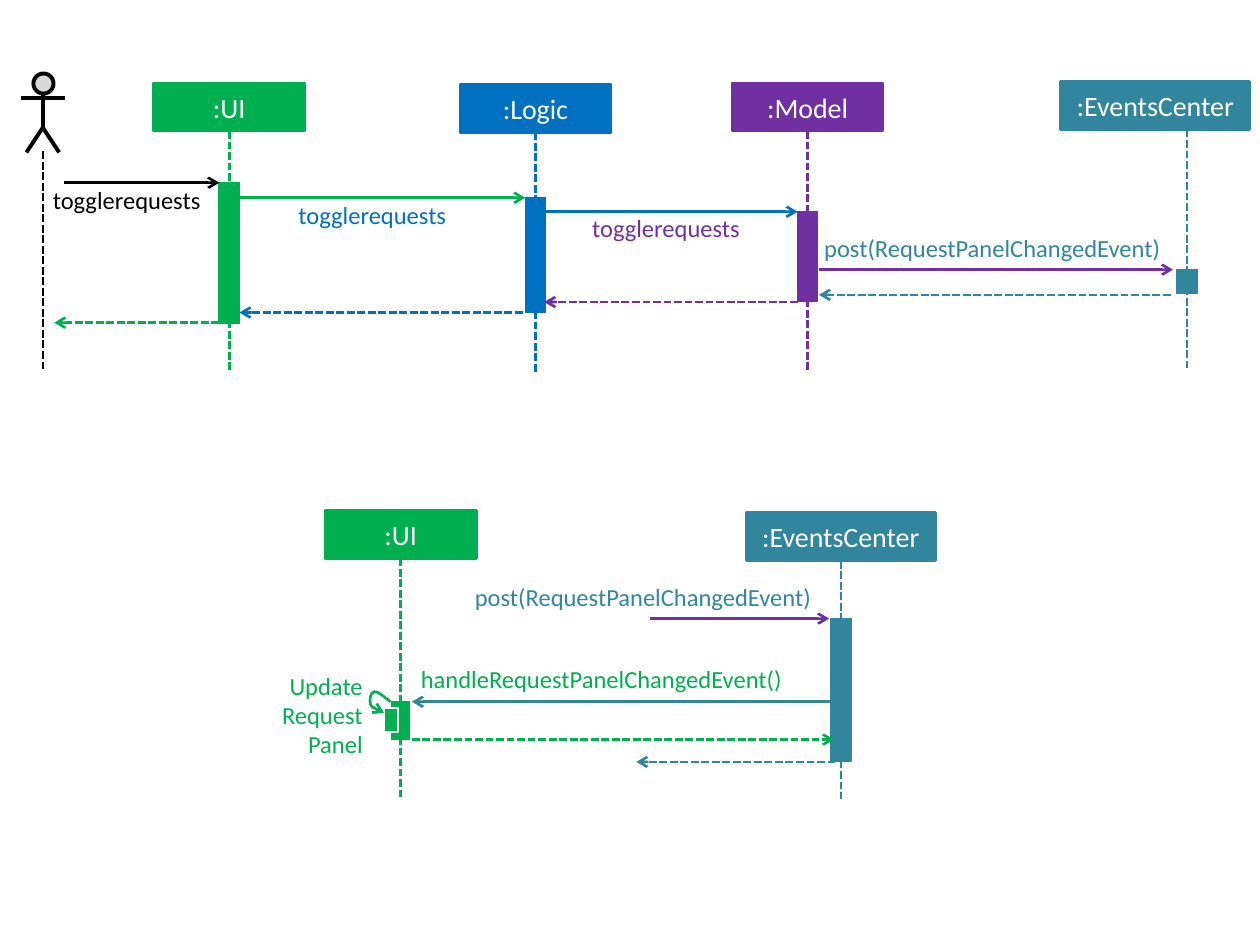
from dataclasses import dataclass
from itertools import starmap
from typing import Any

from lxml.etree import SubElement
from pptx import Presentation
from pptx.dml.color import RGBColor
from pptx.enum.dml import MSO_LINE
from pptx.enum.shapes import MSO_CONNECTOR, MSO_SHAPE
from pptx.enum.text import MSO_ANCHOR, MSO_AUTO_SIZE, PP_ALIGN
from pptx.oxml.ns import qn
from pptx.util import Pt

GREEN, BLUE, PURPLE, TEAL = "00B050", "0070C0", "7030A0", "31859C"
BLACK, WHITE, GREY = "000000", "FFFFFF", "D9D9D9"
HEADER_HEIGHT = 27.4
BOTTOM_SIDE = 2


@dataclass
class Participant:
    name: str
    color: str
    header_center: float
    header_top: float
    header_width: float
    lifeline_x: float
    lifeline_bottom: float
    bar_top: float
    bar_height: float
    bar_width: float = 11.7


@dataclass
class Message:
    start_x: float
    end_x: float
    y: float
    color: str
    dashed: bool = False


@dataclass
class Label:
    text: str
    left: float
    top: float
    width: float
    color: str
    height: float = 17
    alignment: PP_ALIGN = PP_ALIGN.LEFT


PARTICIPANTS = [
    Participant(":UI", GREEN, 131, 47.5, 86.4, 131, 212.4, 104.4, 80.6),
    Participant(":Logic", BLUE, 306, 48.2, 86.4, 306, 212.4, 113, 65.5),
    Participant(":Model", PURPLE, 461.5, 47.5, 86.4, 461.5, 212.4, 121, 51.1),
    Participant(":EventsCenter", TEAL, 660.2, 46.6, 108, 678.2, 210.2, 154.1, 13.7),
    Participant(":EventsCenter", TEAL, 480.5, 293, 108, 480.5, 456.5, 353.5, 81.4),
    Participant(":UI", GREEN, 229, 291.6, 86.4, 229, 455.8, 401, 21.6, 10.4),
]
MESSAGES = [
    Message(36.7, 125.3, 104.4, BLACK),
    Message(136.8, 300.2, 113, GREEN),
    Message(311, 455.8, 121, BLUE),
    Message(468, 670.3, 154.1, PURPLE),
    Message(668.9, 468, 168.5, TEAL, True),
    Message(455.8, 311, 172.6, PURPLE, True),
    Message(298.8, 136.8, 178.6, BLUE, True),
    Message(125.3, 31, 184.4, GREEN, True),
    Message(371.5, 473.8, 353.5, PURPLE),
    Message(476.6, 235.4, 401, TEAL),
    Message(235.4, 476.6, 422.6, GREEN, True),
    Message(477.4, 363.6, 435.4, TEAL, True),
]
LABELS = [
    Label("togglerequests", 30.2, 106, 88.6, BLACK),
    Label("togglerequests", 170.6, 114.5, 112.3, BLUE),
    Label("togglerequests", 338.4, 122, 112.3, PURPLE),
    Label("post(RequestPanelChangedEvent)", 471, 133.2, 198.7, TEAL),
    Label("post(RequestPanelChangedEvent)", 271.4, 332.6, 213.8, TEAL),
    Label("handleRequestPanelChangedEvent()", 240.5, 379.4, 209.5, GREEN),
    Label("Update Request Panel", 144.7, 383.2, 62.6, GREEN, 51, PP_ALIGN.RIGHT),
]
LEGS = [(15.1, 87.1), (24.5, 72.9), (33.8, 87.1)]
SELF_CALL = [(219.6, 407.5), (216, 406.1), (213.1, 404.6), (211.7, 402.5),
             (211, 400.3), (211.7, 395.3), (213.8, 395.3), (215.3, 394.6),
             (219.6, 398.2), (223.2, 401)]


def rgb(color: str) -> RGBColor:
    return RGBColor.from_string(color)


def apply_format(target: Any, values: dict[str, Any]) -> None:
    for name, value in values.items():
        setattr(target, name, value)


def style_line(shape: Any, color: str, width: float, dashed: bool = False) -> None:
    shape.line.color.rgb = rgb(color)
    shape.line.width = Pt(width)
    if dashed:
        shape.line.dash_style = MSO_LINE.SQUARE_DOT


def add_arrowhead(shape: Any, end: str) -> None:
    line = shape.element.spPr.find(qn("a:ln"))
    SubElement(line, qn(f"a:{end}"), type="arrow")


def write_text(shape: Any, text: str, size: float, color: str,
               alignment: PP_ALIGN, frame_format: dict[str, Any]) -> None:
    apply_format(shape.text_frame, {"word_wrap": True, **frame_format})
    paragraph = shape.text_frame.paragraphs[0]
    paragraph.alignment = alignment
    run = paragraph.add_run()
    run.text = text
    apply_format(run.font, {"name": "Calibri", "size": Pt(size)})
    run.font.color.rgb = rgb(color)


def draw_shape(shapes: Any, kind: MSO_SHAPE, left: float, top: float, width: float,
               height: float, fill: str, outline: str, weight: float) -> Any:
    shape = shapes.add_shape(kind, *map(Pt, (left, top, width, height)))
    shape.shadow.inherit = False
    shape.fill.solid()
    shape.fill.fore_color.rgb = rgb(fill)
    style_line(shape, outline, weight)
    return shape


def draw_line(shapes: Any, start: tuple[float, float], end: tuple[float, float],
              color: str, weight: float = 1.5, dashed: bool = False) -> Any:
    connector = shapes.add_connector(MSO_CONNECTOR.STRAIGHT, *map(Pt, (*start, *end)))
    style_line(connector, color, weight, dashed)
    SubElement(connector.element.spPr, qn("a:effectLst"))
    return connector


def draw_outline(shapes: Any, points: list[tuple[float, float]],
                 color: str, weight: float) -> Any:
    start, *rest = [(Pt(x), Pt(y)) for x, y in points]
    builder = shapes.build_freeform(*start)
    builder.add_line_segments(rest, close=False)
    shape = builder.convert_to_shape()
    shape.shadow.inherit = False
    shape.fill.background()
    style_line(shape, color, weight)
    return shape


def bend_outline(shape: Any) -> None:
    segments = list(shape.element.iter(qn("a:lnTo")))
    outline = segments[0].getparent()
    for index in range(0, len(segments), 3):
        curve = SubElement(outline, qn("a:cubicBezTo"))
        for segment in segments[index:index + 3]:
            curve.append(segment[0])
            outline.remove(segment)


def draw_participant(shapes: Any, person: Participant) -> None:
    header = draw_shape(shapes, MSO_SHAPE.RECTANGLE,
                        person.header_center - person.header_width / 2,
                        person.header_top, person.header_width, HEADER_HEIGHT,
                        person.color, person.color, 1.5)
    write_text(header, person.name, 16, WHITE, PP_ALIGN.CENTER,
               {"vertical_anchor": MSO_ANCHOR.MIDDLE})
    lifeline = draw_line(shapes, (person.lifeline_x, person.header_top + HEADER_HEIGHT),
                         (person.lifeline_x, person.lifeline_bottom),
                         person.color, dashed=True)
    if person.lifeline_x == person.header_center:
        lifeline.begin_connect(header, BOTTOM_SIDE)
    draw_shape(shapes, MSO_SHAPE.RECTANGLE, person.lifeline_x - person.bar_width / 2,
               person.bar_top, person.bar_width, person.bar_height,
               person.color, person.color, 0.75)


def draw_message(shapes: Any, message: Message) -> None:
    arrow = draw_line(shapes, (message.start_x, message.y), (message.end_x, message.y),
                      message.color, dashed=message.dashed)
    add_arrowhead(arrow, "tailEnd")


def draw_label(shapes: Any, label: Label) -> None:
    box = shapes.add_textbox(*map(Pt, (label.left, label.top, label.width, label.height)))
    margins = {f"margin_{side}": Pt(0) for side in ("left", "top", "right", "bottom")}
    write_text(box, label.text, 14, label.color, label.alignment,
               {"auto_size": MSO_AUTO_SIZE.SHAPE_TO_FIT_TEXT, **margins})


def draw_actor(shapes: Any) -> None:
    actor = shapes.add_group_shape().shapes
    draw_shape(actor, MSO_SHAPE.FLOWCHART_CONNECTOR, 19.1, 42, 11.5, 11.5, GREY, BLACK, 2.25)
    draw_line(actor, (24.5, 53.5), (24.5, 73.4), BLACK, 2.25)
    draw_line(actor, (12.2, 56.2), (37.4, 56.2), BLACK, 2.25)
    draw_outline(actor, LEGS, BLACK, 2.25)
    draw_line(shapes, (24.5, 86.4), (24.5, 212.4), BLACK, dashed=True)


def draw_self_call(shapes: Any) -> None:
    call = shapes.add_group_shape().shapes
    loop = draw_outline(call, SELF_CALL, GREEN, 1.5)
    bend_outline(loop)
    add_arrowhead(loop, "headEnd")
    draw_shape(call, MSO_SHAPE.RECTANGLE, 219.6, 404.6, 7.9, 13.7, GREEN, WHITE, 0.75)


def main() -> None:
    presentation = Presentation()
    apply_format(presentation, {"slide_width": Pt(720), "slide_height": Pt(540)})
    shapes = presentation.slides.add_slide(presentation.slide_layouts[6]).shapes
    draw_actor(shapes)
    for draw, items in ((draw_participant, PARTICIPANTS), (draw_message, MESSAGES),
                        (draw_label, LABELS)):
        list(starmap(draw, ((shapes, item) for item in items)))
    draw_self_call(shapes)
    presentation.save("out.pptx")


if __name__ == "__main__":
    main()
